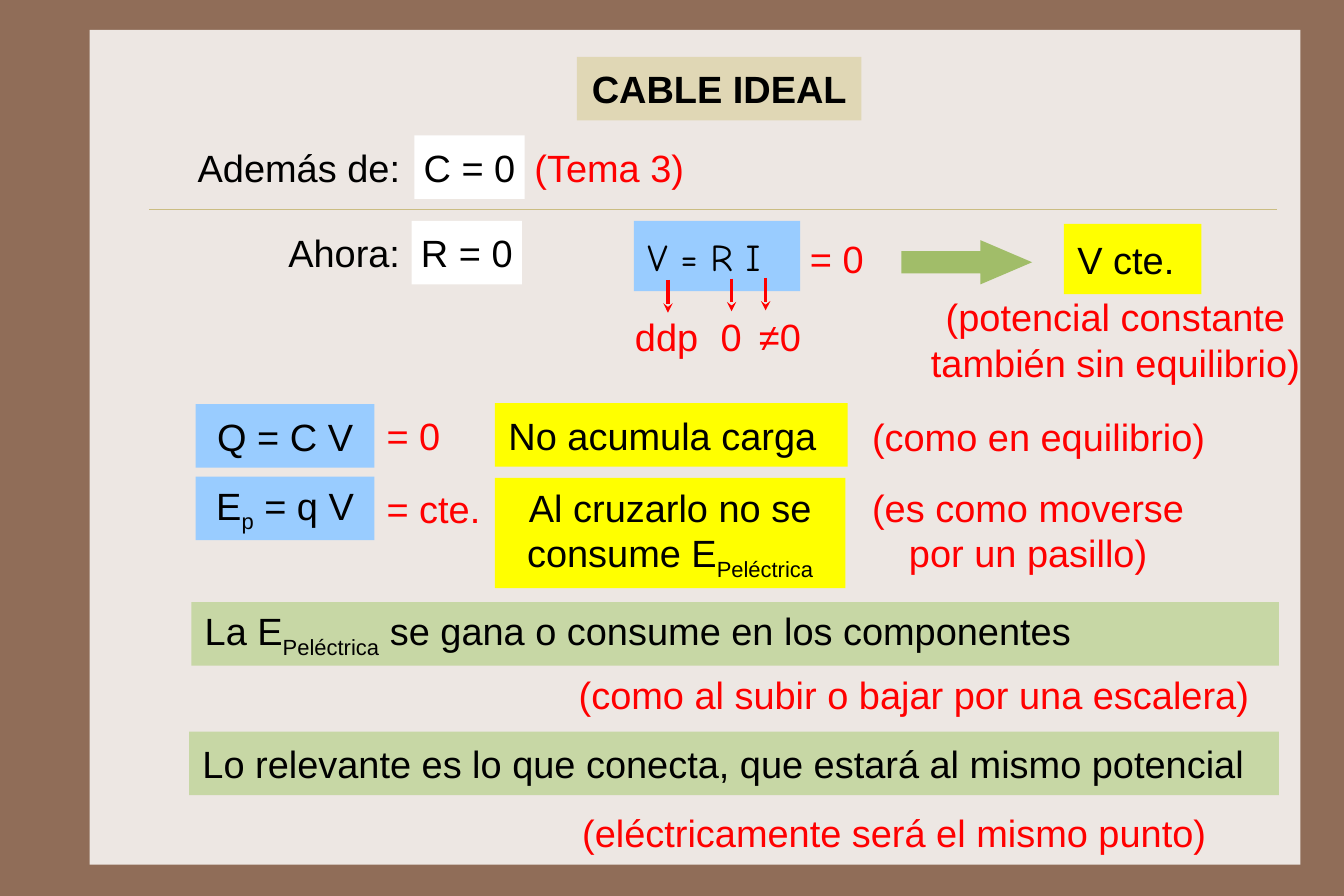
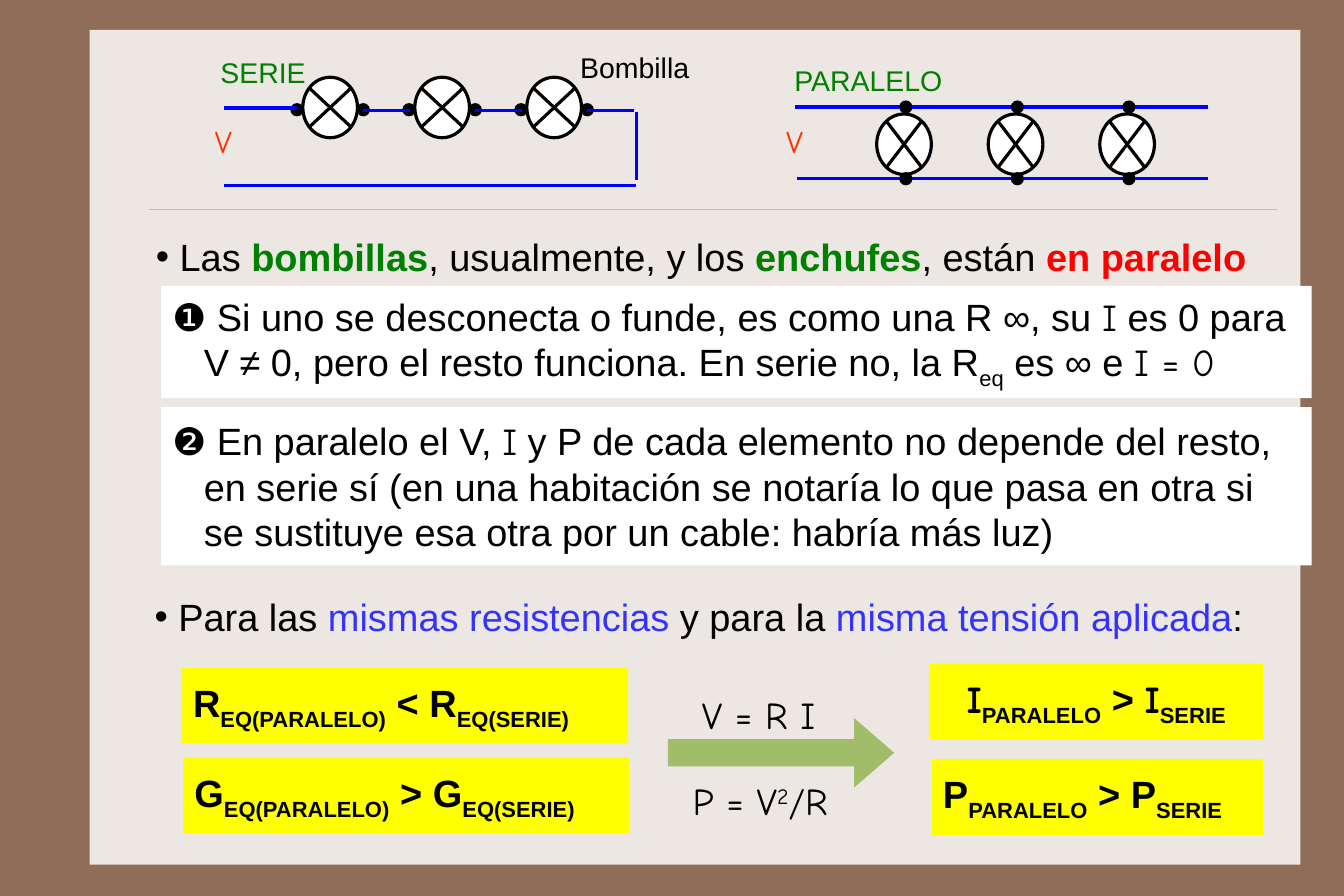
from lxml import etree
from pptx import Presentation
from pptx import util as u
from pptx.dml.color import RGBColor
from pptx.enum import shapes, text
from pptx.oxml import ns

BROWN = RGBColor(0x90, 0x6D, 0x58)
PAPER = RGBColor(0xED, 0xE7, 0xE3)
RULE = RGBColor(0xCB, 0xBD, 0x83)
SAND = RGBColor(0xE0, 0xD7, 0xB5)
PALE_GREEN = RGBColor(0xC7, 0xD7, 0xA5)
ARROW_GREEN = RGBColor(0xA1, 0xBD, 0x69)
SKY = RGBColor(0x99, 0xCC, 0xFF)
YELLOW = RGBColor(0xFF, 0xFF, 0x00)
WHITE = RGBColor(0xFF, 0xFF, 0xFF)
BLACK = RGBColor(0x00, 0x00, 0x00)
RED = RGBColor(0xFF, 0x00, 0x00)
ORANGE = RGBColor(0xFF, 0x33, 0x00)
GREEN = RGBColor(0x00, 0x80, 0x00)
BLUE = RGBColor(0x00, 0x00, 0xFF)
VIOLET = RGBColor(0x33, 0x33, 0xFF)

BODY_FONT = "Arial"
FORMULA_FONT = "Comic Neue"
LEFT = text.PP_ALIGN.LEFT
CENTER = text.PP_ALIGN.CENTER
RIGHT = text.PP_ALIGN.RIGHT
BREAK = "\n"


def add_run(paragraph, content, size=24, font=BODY_FONT, color=BLACK, bold=False, baseline=0):
    run = paragraph.add_run()
    run.text = content
    run.font.size = u.Pt(size)
    run.font.name = font
    run.font.color.rgb = color
    run.font.bold = bold
    if baseline:
        run._r.get_or_add_rPr().set("baseline", str(baseline * 1000))


def sub(content):
    return content, {"baseline": -25}


def formula(content):
    return content, {"font": FORMULA_FONT}


def colored(content, color, bold=False):
    return content, {"color": color, "bold": bold}


class Deck:
    def __init__(self):
        self.presentation = Presentation()
        self.presentation.slide_width = u.Cm(30)
        self.presentation.slide_height = u.Cm(20)
        self.slide = None
        self.inset = 0

    def new_slide(self, inset):
        self.inset = inset
        self.slide = self.presentation.slides.add_slide(self.presentation.slide_layouts[6])
        background = self.slide.background.fill
        background.solid()
        background.fore_color.rgb = BROWN
        self.shape(2, 0.67, 27.03, 18.63, PAPER)
        self.line(3.33, 4.67, 28.5, 4.67, RULE, 0.25)

    def shape(self, left, top, width, height, fill, kind=shapes.MSO_SHAPE.RECTANGLE,
              outline=None, adjustments=()):
        shape = self.slide.shapes.add_shape(
            kind, u.Cm(left), u.Cm(top), u.Cm(width), u.Cm(height))
        shape.shadow.inherit = False
        shape.fill.solid()
        shape.fill.fore_color.rgb = fill
        if outline:
            shape.line.color.rgb = BLACK
            shape.line.width = u.Pt(outline)
        else:
            shape.line.fill.background()
        for index, value in enumerate(adjustments):
            shape.adjustments[index] = value
        return shape

    def arrow(self, left, top, width, height, adjustments):
        self.shape(left, top, width, height, ARROW_GREEN,
                   shapes.MSO_SHAPE.RIGHT_ARROW, adjustments=adjustments)

    def oval(self, center_x, center_y, width, height, fill, outline):
        self.shape(center_x - width / 2, center_y - height / 2, width, height, fill,
                   shapes.MSO_SHAPE.OVAL, outline)

    def line(self, x1, y1, x2, y2, color=BLUE, width=2, arrowhead=False):
        line = self.slide.shapes.add_connector(
            shapes.MSO_CONNECTOR.STRAIGHT, u.Cm(x1), u.Cm(y1), u.Cm(x2), u.Cm(y2))
        line.line.color.rgb = color
        line.line.width = u.Pt(width)
        if arrowhead:
            etree.SubElement(line.line._get_or_add_ln(), ns.qn("a:tailEnd"), type="stealth")
        etree.SubElement(line.element.spPr, ns.qn("a:effectLst"))

    def text(self, left, top, width, height, *pieces, fill=None, align=LEFT,
             inset=None, hanging=0, bullet=None, **style):
        if fill is None:
            box = self.slide.shapes.add_textbox(
                u.Cm(left), u.Cm(top), u.Cm(width), u.Cm(height))
        else:
            box = self.shape(left, top, width, height, fill)
        frame = box.text_frame
        frame.word_wrap = True
        frame.vertical_anchor = text.MSO_ANCHOR.MIDDLE
        frame.margin_left = frame.margin_right = u.Cm(self.inset if inset is None else inset)
        frame.margin_top = frame.margin_bottom = 0
        paragraph = frame.paragraphs[0]
        paragraph.alignment = align
        if hanging:
            properties = paragraph._p.get_or_add_pPr()
            properties.set("marL", str(u.Cm(hanging)))
            properties.set("indent", str(-u.Cm(hanging)))
            if bullet:
                etree.SubElement(properties, ns.qn("a:buFont"), typeface=BODY_FONT)
                etree.SubElement(properties, ns.qn("a:buChar"), char=bullet)
        for piece in pieces:
            if piece == BREAK:
                paragraph.add_line_break()
                continue
            content, changes = (piece, {}) if isinstance(piece, str) else piece
            add_run(paragraph, content, **{**style, **changes})

    def bulb(self, x, y, cross_x, cross_y, terminals):
        self.oval(x, y, 1.22, 1.35, WHITE, 2)
        for slope in (-1, 1):
            self.line(x - cross_x, y - slope * cross_y, x + cross_x, y + slope * cross_y, BLACK)
        for dot_x, dot_y in terminals:
            self.oval(dot_x, dot_y, 0.26, 0.26, BLACK, 1)


def ideal_cable(deck):
    deck.new_slide(inset=0.3)
    deck.text(12.88, 1.27, 6.35, 1.42, "CABLE IDEAL", fill=SAND, align=CENTER,
              inset=0.1, bold=True)

    for label, value, left, top in (("Además de:", "C = 0", 9.25, 3.02),
                                    ("Ahora:", "R = 0", 9.19, 4.93)):
        deck.text(3.5, top, 5.73, 1.42, label, align=RIGHT)
        deck.text(left, top, 2.46, 1.42, value, fill=WHITE, align=CENTER, inset=0)
    deck.text(11.63, 3.02, 5, 1.42, "(Tema 3)", color=RED)

    deck.text(14.15, 4.93, 3.71, 1.57, "V = R I", fill=SKY, font=FORMULA_FONT)
    for arrow_x, top, label, label_x in ((14.91, 6.25, "ddp", 14.88),
                                         (16.33, 6.22, "0", 16.32),
                                         (17.09, 6.2, "≠0", 17.41)):
        deck.line(arrow_x, top, arrow_x, top + 0.73, RED, arrowhead=True)
        deck.text(label_x - 0.8, 6.8, 1.6, 1.42, label, align=CENTER, inset=0, color=RED)
    deck.text(17.78, 5.06, 2.2, 1.42, "= 0", color=RED)
    deck.arrow(20.12, 5.36, 2.92, 0.99, (0.5, 1.169))
    deck.text(23.75, 5, 3.07, 1.57, "V cte.", fill=YELLOW)
    deck.text(19.9, 6.35, 10, 2.46, "(potencial constante", BREAK, "también sin equilibrio)",
              align=CENTER, color=RED)

    deck.text(4.37, 9.02, 3.99, 1.42, "Q = C V", fill=SKY, align=CENTER)
    deck.text(8.33, 9, 2.2, 1.42, "= 0", color=RED)
    deck.text(11.05, 9, 7.87, 1.42, "No acumula carga", fill=YELLOW)
    deck.text(18.5, 9.02, 8.7, 1.42, "(como en equilibrio)", align=RIGHT, color=RED)

    deck.text(4.37, 10.64, 3.99, 1.42, "E", sub("p"), " = q V", fill=SKY, align=CENTER)
    deck.text(8.33, 10.64, 2.9, 1.42, "= cte.", color=RED)
    deck.text(11.05, 10.67, 7.82, 2.46, "Al cruzarlo no se", BREAK, "consume E",
              sub("Peléctrica"), fill=YELLOW, align=CENTER)
    deck.text(18.45, 10.6, 9, 2.46, "(es como moverse", BREAK, "por un pasillo)",
              align=CENTER, color=RED)

    deck.text(4.27, 13.44, 24.28, 1.42, "La E", sub("Peléctrica"),
              " se gana o consume en los componentes", fill=PALE_GREEN)
    deck.text(12, 14.78, 16.8, 1.42, "(como al subir o bajar por una escalera)",
              align=CENTER, color=RED)
    deck.text(4.22, 16.33, 24.33, 1.42,
              "Lo relevante es lo que conecta, que estará al mismo potencial", fill=PALE_GREEN)
    deck.text(11.96, 17.87, 16, 1.42, "(eléctricamente será el mismo punto)",
              align=CENTER, color=RED)


def draw_circuits(deck):
    for y, left in ((2.39, 17.75), (3.99, 17.78)):
        deck.line(left, y, 26.97, y)
    for index in range(3):
        x = 20.18 + 2.49 * index
        deck.bulb(x, 3.22, 0.39, 0.51, [(x + 0.04, 2.39), (x + 0.04, 3.99)])

    for index in range(3):
        x = 7.37 + 2.5 * index
        deck.bulb(x, 2.4, 0.46, 0.43, [(x - 0.74, 2.45), (x + 0.74, 2.45)])
    for index in range(3):
        start = 8.1 + 2.5 * index
        deck.line(start, 2.46, start + 1.06, 2.46)
    deck.line(5, 2.41, 6.63, 2.41)
    deck.line(14.2, 2.49, 14.2, 4.01)
    deck.line(5, 4.14, 14.2, 4.14)

    for left in (4.6, 17.35):
        deck.text(left, 2.62, 1.2, 1.07, "V", inset=0.2, size=20,
                  font=FORMULA_FONT, color=ORANGE)
    for left, top, label, color in ((4.67, 0.99, "SERIE", GREEN),
                                    (17.48, 1.17, "PARALELO", GREEN),
                                    (12.7, 0.89, "Bombilla", BLACK)):
        deck.text(left, top, 4.5, 1.24, label, size=18, color=color)


def series_and_parallel(deck):
    deck.new_slide(inset=0.25)
    draw_circuits(deck)

    deck.text(3.23, 4.98, 25.6, 1.5, "Las ", colored("bombillas", GREEN, True),
              ", usualmente, y los ", colored("enchufes", GREEN, True), ", están ",
              colored("en paralelo", RED, True), hanging=0.53, bullet="•")
    deck.text(3.6, 6.38, 25.68, 2.51,
              "❶ Si uno se desconecta o funde, es como una R ∞, su ", formula("I"),
              " es 0 para", BREAK, "V ≠ 0, pero el resto funciona. En serie no, la R",
              sub("eq"), " es ∞ e ", formula("I = 0"), fill=WHITE, hanging=0.7)
    deck.text(3.6, 9.09, 25.68, 3.53, "❷ En paralelo el V, ", formula("I"),
              " y P de cada elemento no depende del resto,", BREAK,
              "en serie sí (en una habitación se notaría lo que pasa en otra si", BREAK,
              "se sustituye esa otra por un cable: habría más luz)", fill=WHITE, hanging=0.7)
    deck.text(3.2, 13, 25.6, 1.5, "Para las ", colored("mismas resistencias", VIOLET),
              " y para la ", colored("misma tensión aplicada", VIOLET), ":",
              hanging=0.53, bullet="•")

    for symbol, sign, left, top in (("R", "<", 4.06, 14.91), ("G", ">", 4.09, 16.92)):
        deck.text(left, top, 9.96, 1.68, symbol, sub("EQ(PARALELO)"), f" {sign} {symbol}",
                  sub("EQ(SERIE)"), fill=YELLOW, bold=True)

    deck.arrow(14.91, 16.03, 5.05, 1.55, (0.393, 0.576))
    deck.text(15.42, 15.2, 4, 1.5, "V = R I", font=FORMULA_FONT)
    deck.text(15.21, 17.12, 4.5, 1.5, "P = V", ("2", {"baseline": 30}), "/R",
              font=FORMULA_FONT)

    for symbol, left, top, align in ((formula("I"), 20.75, 14.81, CENTER),
                                     ("P", 20.8, 16.94, LEFT)):
        deck.text(left, top, 28.19 - left, 1.7, symbol, sub("PARALELO"), " > ", symbol,
                  sub("SERIE"), fill=YELLOW, align=align, bold=True)


def main():
    deck = Deck()
    ideal_cable(deck)
    series_and_parallel(deck)
    deck.presentation.save("out.pptx")


if __name__ == "__main__":
    main()
